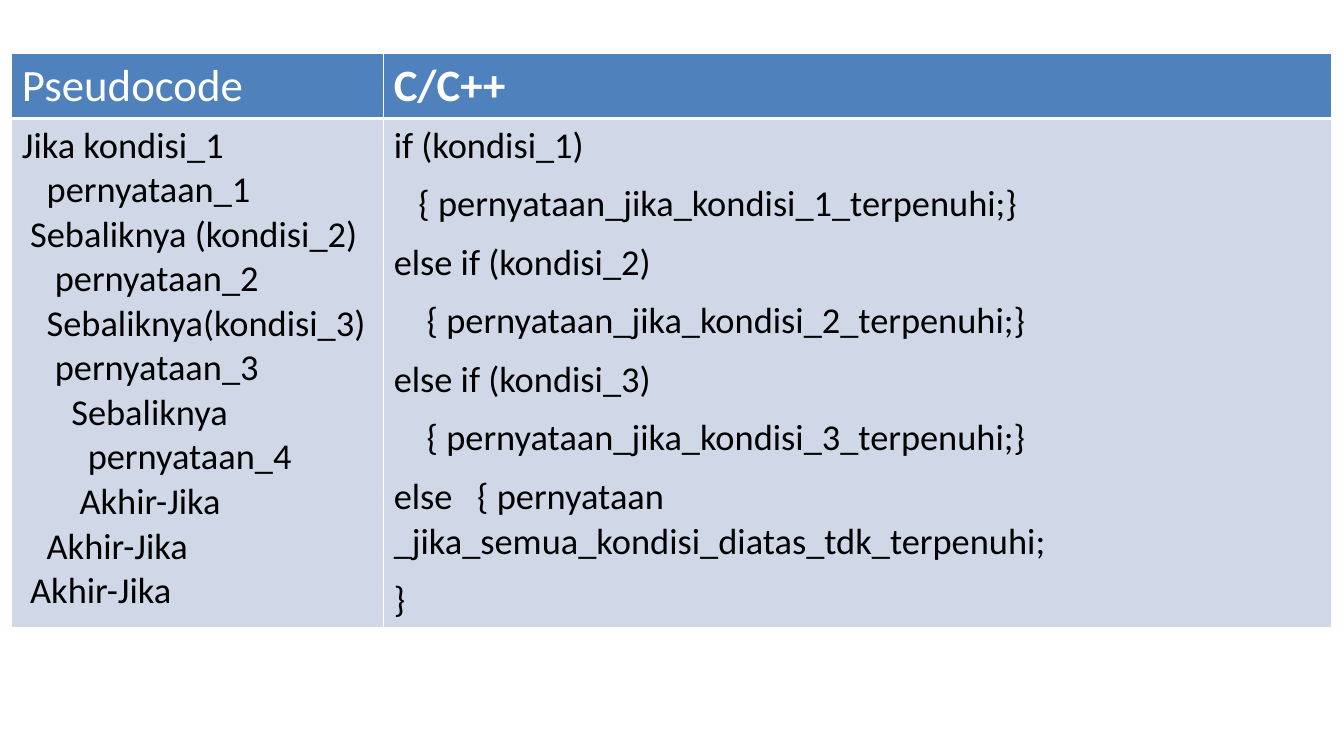
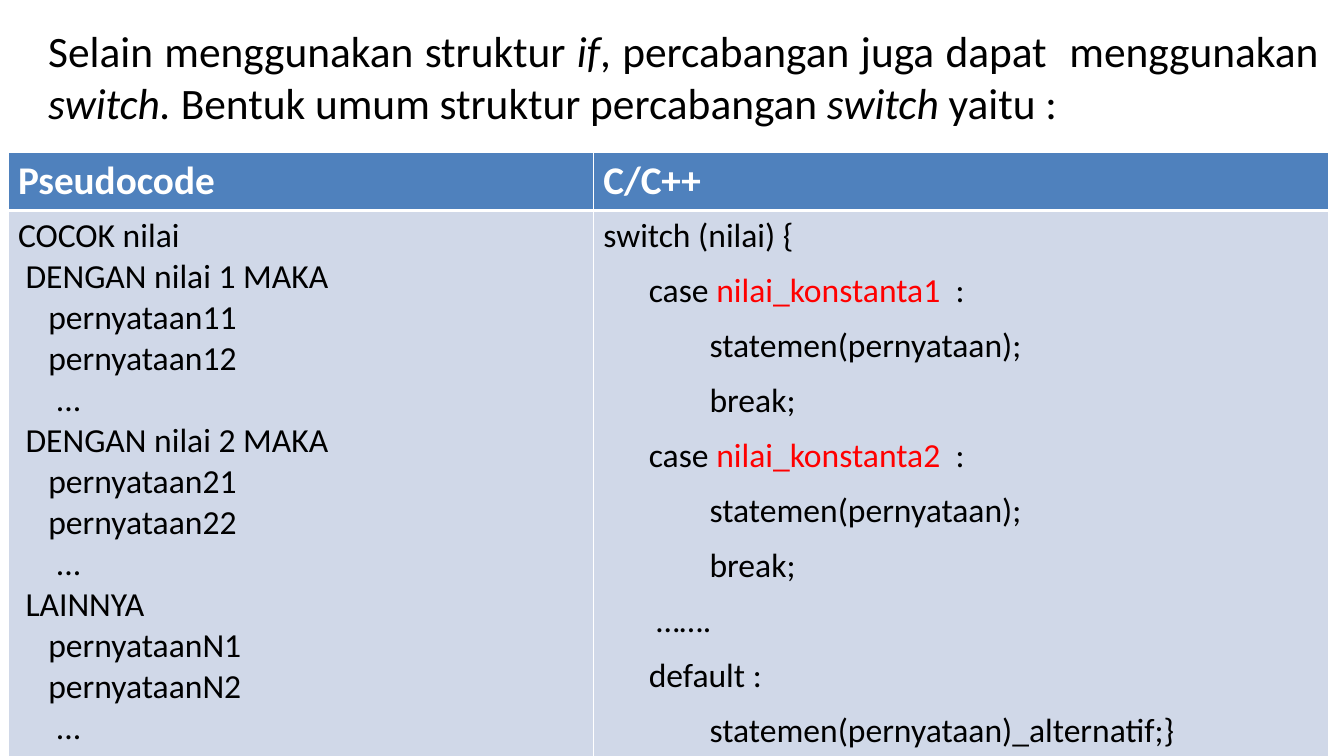
from dataclasses import dataclass

from lxml import etree
from pptx import Presentation
from pptx.dml.color import RGBColor
from pptx.enum.text import MSO_ANCHOR, MSO_AUTO_SIZE, PP_ALIGN
from pptx.oxml.ns import qn
from pptx.util import Cm, Pt


@dataclass(frozen=True)
class Theme:
    font: str = "Calibri"
    header_fill: RGBColor = RGBColor(0x4F, 0x81, 0xBD)
    body_fill: RGBColor = RGBColor(0xD0, 0xD8, 0xE8)
    white: RGBColor = RGBColor(0xFF, 0xFF, 0xFF)
    black: RGBColor = RGBColor(0, 0, 0)
    red: RGBColor = RGBColor(0xFF, 0, 0)
    intro_size: float = 31
    code_spacing: float = 10
    indent_em: float = 0.226  # one indent step as a share of the type size


THEME = Theme()
ITALIC = {"italic": True}
RED = {"color": THEME.red}

INTRO = [
    ("Selain menggunakan struktur ", {}),
    ("if", ITALIC),
    (", percabangan juga dapat  menggunakan ", {}),
    ("switch. ", ITALIC),
    ("Bentuk umum struktur percabangan ", {}),
    ("switch ", ITALIC),
    ("yaitu :", {}),
]

# Each code line is (indent steps, runs); a plain string is a single run.
IF_TABLE = {
    "place": (0.3, 1.35),
    "columns": (9.37, 23.88),
    "rows": (1.6, 12.8),
    "header_size": 32,
    "code_size": 26,
    "headers": [("Pseudocode", False), ("C/C++", True)],
    "pseudocode": [
        (0, "Jika kondisi_1"),
        (3, "pernyataan_1"),
        (1, "Sebaliknya (kondisi_2)"),
        (4, "pernyataan_2"),
        (3, "Sebaliknya(kondisi_3)"),
        (4, "pernyataan_3"),
        (6, "Sebaliknya"),
        (8, "pernyataan_4"),
        (7, "Akhir-Jika"),
        (3, "Akhir-Jika"),
        (1, "Akhir-Jika"),
    ],
    "code": [
        (0, "if (kondisi_1)"),
        (3, "{ pernyataan_jika_kondisi_1_terpenuhi;}"),
        (0, "else if (kondisi_2)"),
        (4, "{ pernyataan_jika_kondisi_2_terpenuhi;}"),
        (0, "else if (kondisi_3)"),
        (4, "{ pernyataan_jika_kondisi_3_terpenuhi;}"),
        (0, "else   { pernyataan _jika_semua_kondisi_diatas_tdk_terpenuhi;"),
        (0, "}"),
    ],
}

SWITCH_TABLE = {
    "place": (0.2, 3.84),
    "columns": (14.75, 18.53),
    "rows": (1.4, 13.6),
    "header_size": 28,
    "code_size": 24,
    "headers": [("Pseudocode", True), ("C/C++", True)],
    "pseudocode": [
        (0, "COCOK nilai"),
        (1, "DENGAN nilai 1 MAKA"),
        (4, "pernyataan11"),
        (4, "pernyataan12"),
        (5, "..."),
        (1, "DENGAN nilai 2 MAKA"),
        (4, "pernyataan21"),
        (4, "pernyataan22"),
        (5, "..."),
        (1, "LAINNYA"),
        (4, "pernyataanN1"),
        (4, "pernyataanN2"),
        (5, "..."),
    ],
    "code": [
        (0, "switch (nilai) {"),
        (6, [("case ", {}), ("nilai_konstanta1", RED), ("  :", {})]),
        (14, "statemen(pernyataan);"),
        (14, "break;"),
        (6, [("case ", {}), ("nilai_konstanta2", RED), ("  :", {})]),
        (14, "statemen(pernyataan);"),
        (14, "break;"),
        (7, "……."),
        (6, "default :"),
        (14, "statemen(pernyataan)_alternatif;}"),
    ],
}


def add_run(paragraph, text, size, color=THEME.black, bold=False, italic=False):
    run = paragraph.add_run()
    run.text = text
    font = run.font
    font.name, font.size = THEME.font, Pt(size)
    font.bold, font.italic = bold, italic
    font.color.rgb = color


def set_indent(paragraph, left):
    properties = paragraph._p.get_or_add_pPr()
    properties.set("marL", str(int(left)))
    properties.set("indent", "0")


def format_cell(cell, fill, bottom_width):
    """Give the cell its fill and white borders, which come first in the XML."""
    properties = cell._tc.get_or_add_tcPr()
    widths = {"a:lnL": 1, "a:lnR": 1, "a:lnT": 1, "a:lnB": bottom_width}
    if fill == THEME.body_fill:
        widths["a:lnT"] = 3
    for side, width in widths.items():
        line = etree.SubElement(properties, qn(side), w=str(Pt(width)))
        line_fill = etree.SubElement(line, qn("a:solidFill"))
        etree.SubElement(line_fill, qn("a:srgbClr"), val=str(THEME.white))
    cell.fill.solid()
    cell.fill.fore_color.rgb = fill
    cell.margin_right = Cm(0.35)


def fill_code(cell, lines, size, spacing):
    frame = cell.text_frame
    for index, (steps, runs) in enumerate(lines):
        paragraph = frame.add_paragraph() if index else frame.paragraphs[0]
        set_indent(paragraph, Pt(steps * size * THEME.indent_em))
        paragraph.space_after = Pt(spacing)
        for text, style in [(runs, {})] if isinstance(runs, str) else runs:
            add_run(paragraph, text, size, **style)


def add_comparison(slide, content):
    left, top = content["place"]
    table = slide.shapes.add_table(
        2, 2, Cm(left), Cm(top),
        Cm(sum(content["columns"])), Cm(sum(content["rows"])),
    ).table
    for column, width in zip(table.columns, content["columns"]):
        column.width = Cm(width)
    for row, height in zip(table.rows, content["rows"]):
        row.height = Cm(height)

    bodies = [(content["pseudocode"], 0), (content["code"], THEME.code_spacing)]
    for index, ((title, bold), (lines, spacing)) in enumerate(
        zip(content["headers"], bodies)
    ):
        header, body = table.cell(0, index), table.cell(1, index)
        format_cell(header, THEME.header_fill, 3)
        format_cell(body, THEME.body_fill, 1)
        add_run(header.text_frame.paragraphs[0], title,
                content["header_size"], THEME.white, bold)
        fill_code(body, lines, content["code_size"], spacing)


def add_intro(slide):
    title = slide.shapes.title
    title._element.getparent().remove(title._element)
    body = slide.placeholders[1]
    body.left, body.top, body.width, body.height = Cm(0), Cm(0.48), Cm(33.48), Cm(3.3)
    frame = body.text_frame
    frame.word_wrap = True
    frame.auto_size = MSO_AUTO_SIZE.NONE
    frame.vertical_anchor = MSO_ANCHOR.TOP
    paragraph = frame.paragraphs[0]
    paragraph.alignment = PP_ALIGN.JUSTIFY
    paragraph.space_before = Pt(6)
    set_indent(paragraph, Cm(0.96))
    etree.SubElement(paragraph._p.get_or_add_pPr(), qn("a:buNone"))
    for text, style in INTRO:
        add_run(paragraph, text, THEME.intro_size, **style)


def main():
    presentation = Presentation()
    presentation.slide_width, presentation.slide_height = Cm(33.87), Cm(19.05)
    layouts = presentation.slide_layouts

    if_slide = presentation.slides.add_slide(layouts.get_by_name("Blank"))
    add_comparison(if_slide, IF_TABLE)

    switch_slide = presentation.slides.add_slide(
        layouts.get_by_name("Title and Content")
    )
    add_intro(switch_slide)
    add_comparison(switch_slide, SWITCH_TABLE)

    presentation.save("out.pptx")


if __name__ == "__main__":
    main()
